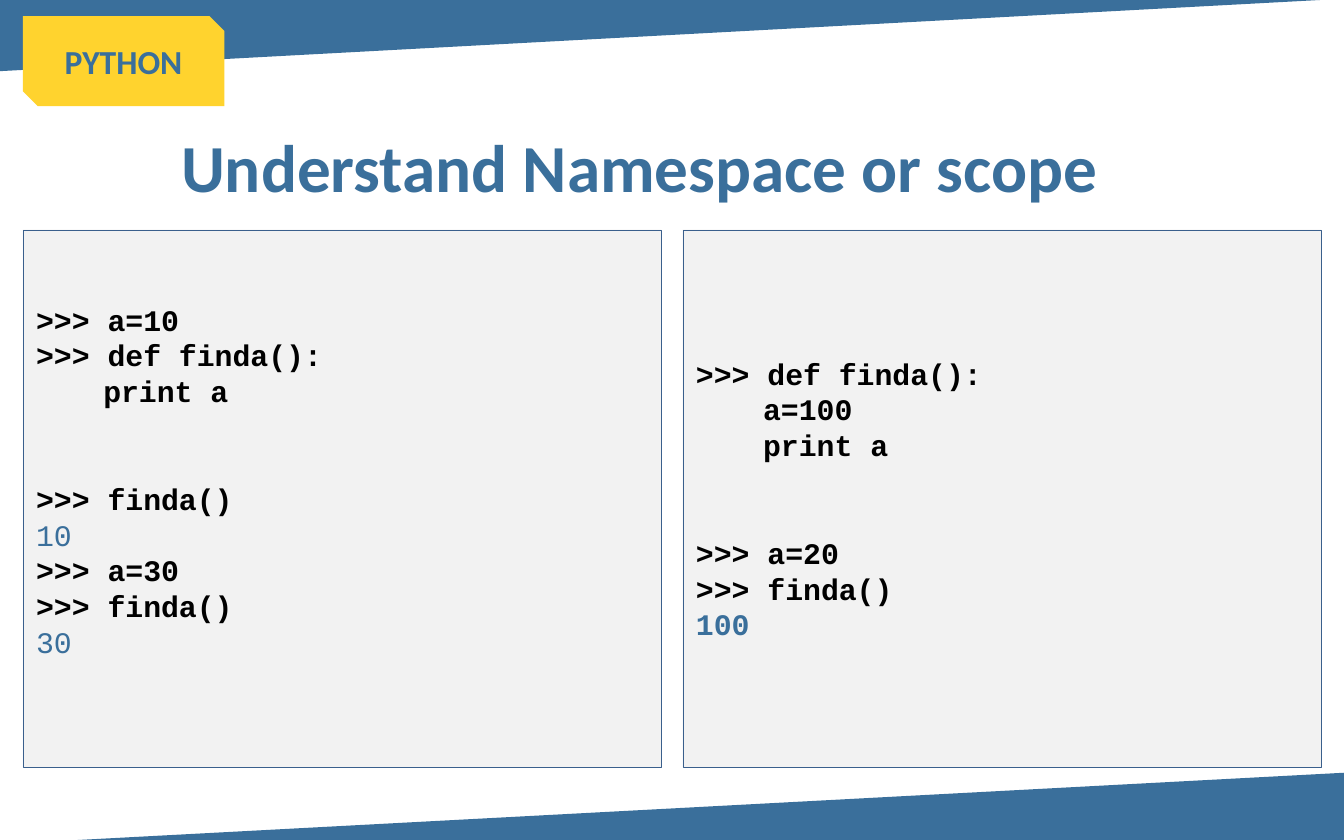
from pptx import Presentation
from pptx import util as u
from pptx.dml.color import RGBColor
from pptx.enum import shapes, text

BLUE = RGBColor(0x3A, 0x6F, 0x9B)
YELLOW = RGBColor(0xFF, 0xD3, 0x2E)
GREY = RGBColor(0xF2, 0xF2, 0xF2)
BORDER = RGBColor(0x3A, 0x5F, 0x8C)
BLACK = RGBColor(0, 0, 0)

LINE_HEIGHT = 19.2
MARGIN = 0.17
PANEL_W = 4.75

NAMESPACE_CODE = [
    (">>> a=10", BLACK, True, 0),
    (">>> def finda():", BLACK, True, 0),
    ("\tprint a", BLACK, True, 0),
    (">>> finda()", BLACK, True, 2),
    ("10", BLUE, False, 0),
    (">>> a=30", BLACK, True, 0),
    (">>> finda()", BLACK, True, 0),
    ("30", BLUE, False, 0),
]
SCOPE_CODE = [
    (">>> def finda():", BLACK, True, 0),
    ("\ta=100", BLACK, True, 0),
    ("\tprint a", BLACK, True, 0),
    (">>> a=20", BLACK, True, 2),
    (">>> finda()", BLACK, True, 0),
    ("100", BLUE, True, 0),
]


def add_run(p, words, font, size, color, bold=True):
    r = p.add_run()
    r.text = words
    r.font.name = font
    r.font.size = u.Pt(size)
    r.font.color.rgb = color
    r.font.bold = bold


def add_box(s, kind, box, fill):
    sp = s.shapes.add_shape(kind, *map(u.Inches, box))
    sp.shadow.inherit = False
    sp.fill.solid()
    sp.fill.fore_color.rgb = fill
    sp.line.fill.background()
    sp.text_frame.vertical_anchor = text.MSO_ANCHOR.MIDDLE
    return sp


def add_wedge(s, box, corners):
    left, top, width, height = box
    points = [(u.Inches(left + x * width), u.Inches(top + y * height)) for x, y in corners]
    builder = s.shapes.build_freeform(*points[0])
    builder.add_line_segments(points[1:], close=True)
    sp = builder.convert_to_shape()
    sp.shadow.inherit = False
    sp.fill.solid()
    sp.fill.fore_color.rgb = BLUE
    sp.line.fill.background()


def add_badge(s, box):
    sp = add_box(s, shapes.MSO_SHAPE.SNIP_2_DIAG_RECTANGLE, box, YELLOW)
    p = sp.text_frame.paragraphs[0]
    p.alignment = text.PP_ALIGN.CENTER
    add_run(p, "PYTHON", "Calibri", 18, BLUE)


def add_title(s, box):
    tf = s.shapes.add_textbox(*map(u.Inches, box)).text_frame
    tf.word_wrap = False
    tf.auto_size = text.MSO_AUTO_SIZE.SHAPE_TO_FIT_TEXT
    add_run(tf.paragraphs[0], "Understand Namespace or scope", "Calibri", 36, BLUE)


def add_code_panel(s, box, lines, bottom_inset=0.05):
    sp = add_box(s, shapes.MSO_SHAPE.RECTANGLE, box, GREY)
    sp.line.color.rgb = BORDER
    sp.line.width = u.Pt(0.25)
    tf = sp.text_frame
    tf.word_wrap = True
    tf.margin_bottom = u.Inches(bottom_inset)
    for i, (words, color, bold, gap) in enumerate(lines):
        p = tf.add_paragraph() if i else tf.paragraphs[0]
        p.alignment = text.PP_ALIGN.LEFT
        p.line_spacing = u.Pt(LINE_HEIGHT)
        if gap:
            p.space_before = u.Pt(gap * LINE_HEIGHT)
        add_run(p, words, "Courier New", 16, color, bold)


def main():
    prs = Presentation()
    prs.slide_width = u.Inches(10)
    prs.slide_height = u.Inches(6.25)
    s = prs.slides.add_slide(prs.slide_layouts[6])

    add_wedge(s, (-0.17, 5.75, 10.17, 0.54), [(1, 1), (0, 1), (1, 0)])
    add_wedge(s, (-0.01, -0.01, 10.02, 0.54), [(0, 0), (1, 0), (0, 1)])
    add_badge(s, (MARGIN, 0.12, 1.5, 0.67))
    add_title(s, (1.25, 0.88, 7.1, 0.71))
    add_code_panel(s, (MARGIN, 1.71, PANEL_W, 4), NAMESPACE_CODE, 0.32)
    add_code_panel(s, (10 - MARGIN - PANEL_W, 1.71, PANEL_W, 4), SCOPE_CODE)

    prs.save("out.pptx")


if __name__ == "__main__":
    main()
